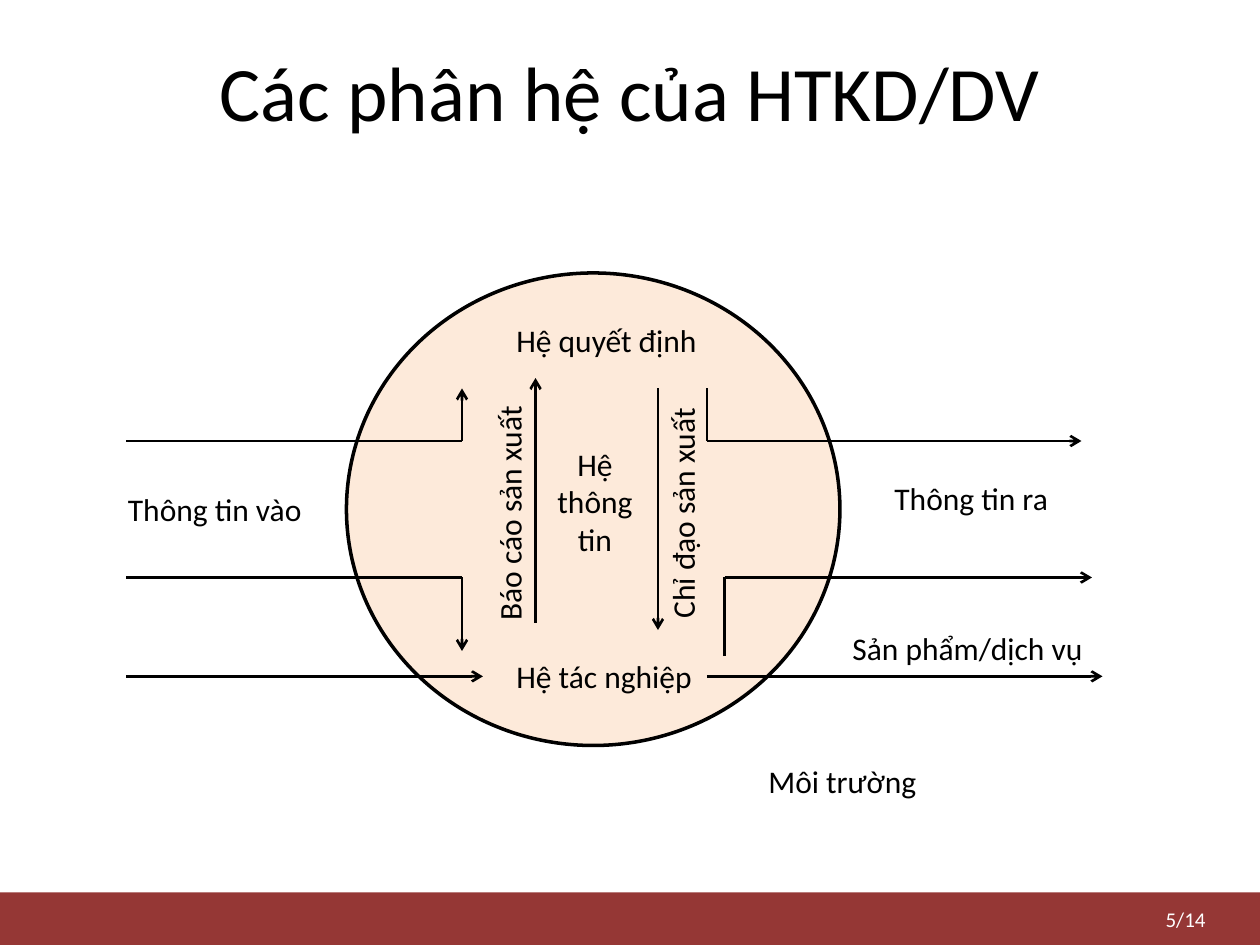
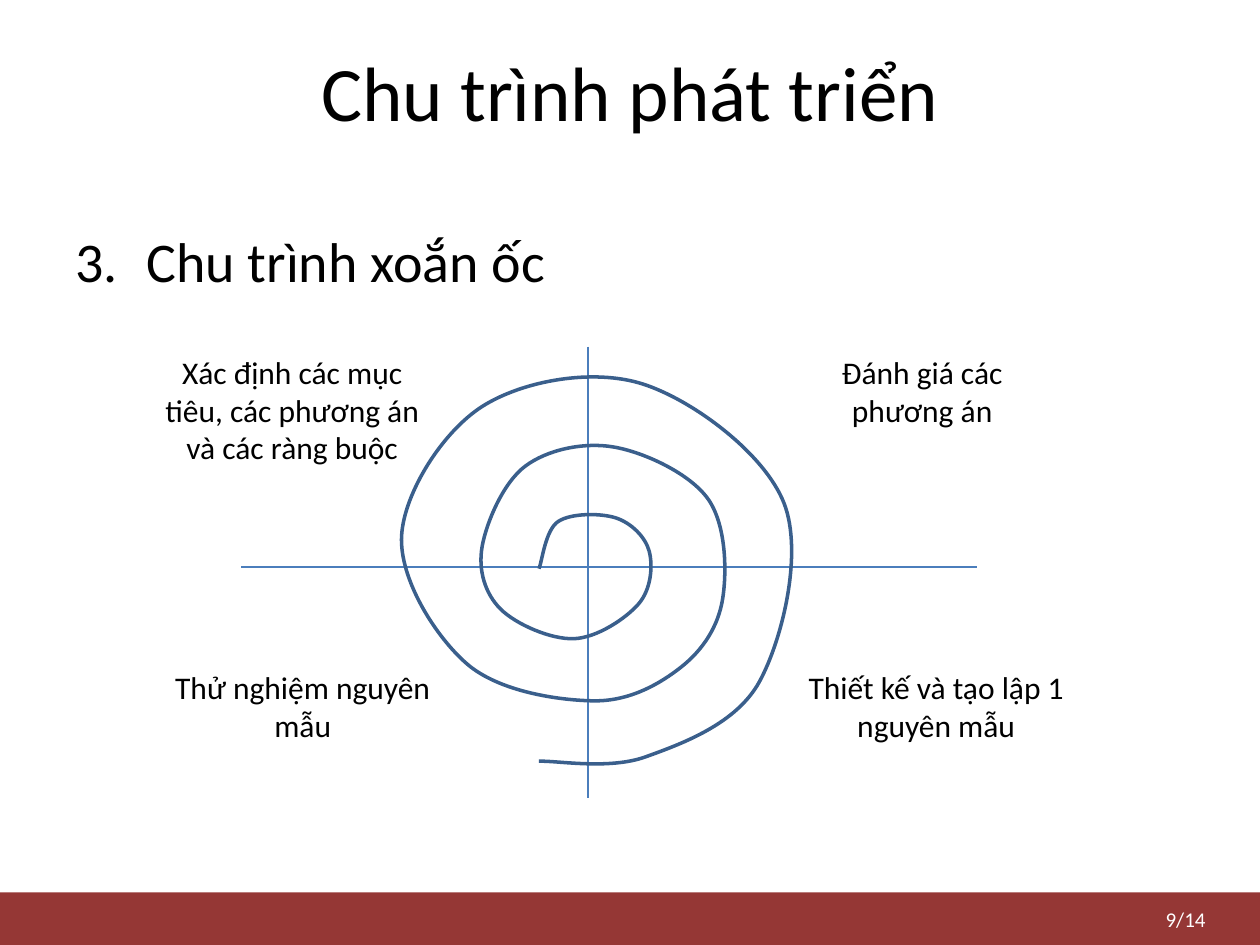
from lxml.etree import SubElement
from pptx import Presentation
from pptx.dml.color import RGBColor
from pptx.enum.shapes import MSO_CONNECTOR as Link, MSO_SHAPE as Preset
from pptx.enum.text import MSO_ANCHOR as Anchor, MSO_AUTO_SIZE as Fit, PP_ALIGN as Align
from pptx.oxml.ns import qn
from pptx.util import Pt

COLORS = {
    "band": "953735", "ink": "000000", "paper": "FFFFFF",
    "disc": "FDEADA", "axis": "4B7EBC", "spiral": "3A5F8C",
}
FONT = "Calibri"
PAGE_COUNT = 14
TITLE_BOX = (36, 18, 648, 68)
BAND_BOX = (0, 510, 720, 30)
NUMBER_BOX = (498, 513, 198, 24)


def color(name):
    """Return a palette entry as an RGB colour."""
    return RGBColor.from_string(COLORS[name])


def points(*values):
    """Turn numbers into lengths in points."""
    return [Pt(value) for value in values]


def place(shape, box):
    """Move and size a shape to a box of left, top, width, height."""
    for name, value in zip(("left", "top", "width", "height"), points(*box)):
        setattr(shape, name, value)


def write(shape, text, size=18, ink="ink", align=Align.LEFT, **frame_format):
    """Write one formatted paragraph and set the format of its frame."""
    frame = shape.text_frame
    for name, value in frame_format.items():
        setattr(frame, name, value)
    para = frame.paragraphs[0]
    para.alignment = align
    span = para.add_run()
    span.text = text
    for name, value in {"name": FONT, "size": Pt(size), "bold": False}.items():
        setattr(span.font, name, value)
    span.font.color.rgb = color(ink)
    return para


def outline(shape, name, width):
    """Give a shape a solid line."""
    shape.line.color.rgb = color(name)
    shape.line.width = Pt(width)


def add_label(page, text, box, wrap=False, align=Align.LEFT, rotation=0):
    """Add a text box that fits its text."""
    label = page.shapes.add_textbox(*points(*box))
    label.rotation = rotation
    write(label, text, align=align, word_wrap=wrap, auto_size=Fit.SHAPE_TO_FIT_TEXT)


def add_line(page, ends, name="ink", width=1.5, arrow=False):
    """Add a straight line, with an open arrowhead at its end if asked."""
    line = page.shapes.add_connector(Link.STRAIGHT, *points(*ends))
    outline(line, name, width)
    properties = line.element.spPr
    if arrow:
        SubElement(properties.find(qn("a:ln")), qn("a:tailEnd"), type="arrow")
    SubElement(properties, qn("a:effectLst"))


def add_master_band(deck, page):
    """Put the footer band on the slide master, behind everything."""
    band = page.shapes.add_shape(Preset.RECTANGLE, *points(*BAND_BOX))
    band.shadow.inherit = False
    band.fill.solid()
    band.fill.fore_color.rgb = color("band")
    band.line.fill.background()
    deck.slide_master.element.cSld.spTree.insert(2, band.element)


def add_page(deck, layout, title, number):
    """Add a slide with its title and page number."""
    page = deck.slides.add_slide(deck.slide_layouts.get_by_name(layout))
    place(page.shapes.title, TITLE_BOX)
    write(page.shapes.title, title, 44, align=Align.CENTER, vertical_anchor=Anchor.MIDDLE)
    footer = page.shapes.add_textbox(*points(*NUMBER_BOX))
    write(footer, f"{number}/{PAGE_COUNT}", 12, "paper", Align.RIGHT,
          word_wrap=True, vertical_anchor=Anchor.MIDDLE)
    return page


def add_numbered_item(page, text, number, box):
    """Fill the body placeholder with one numbered item."""
    body = page.placeholders[1]
    place(body, box)
    para = write(body, text, 32, word_wrap=True)
    properties = para._p.get_or_add_pPr()
    indent = Pt(40.5)
    properties.set("marL", str(indent))
    properties.set("indent", str(-indent))
    SubElement(properties, qn("a:buFont"), typeface="+mj-lt")
    SubElement(properties, qn("a:buAutoNum"), type="arabicPeriod", startAt=str(number))


def add_system_diagram(page, left, top):
    """Draw the business system, its subsystems and its flows."""
    disc = page.shapes.add_shape(Preset.OVAL, *points(left + 126, top, 282, 270))
    disc.shadow.inherit = False
    disc.fill.solid()
    disc.fill.fore_color.rgb = color("disc")
    outline(disc, "ink", 2)

    decision_y, control_y, product_y = 96, 174, 230.5
    inner_x, exit_x, order_x = 192, 332, 342
    plain_lines = [
        (0, decision_y, inner_x, decision_y, 1.5),
        (0, control_y, inner_x, control_y, 1.5),
        (order_x, 219, order_x, control_y, 1.5),
        (exit_x, 66, exit_x, decision_y, 0.75),
    ]
    arrows = [
        (0, product_y, 204, product_y),
        (exit_x, product_y, 558, product_y),
        (inner_x, control_y, inner_x, 216),
        (inner_x, decision_y, inner_x, 66),
        (order_x, control_y, 552, control_y),
        (exit_x, decision_y, 546, decision_y),
        (234, 200, 234, 60),
        (304, 66, 304, 204),
    ]

    def shift(x1, y1, x2, y2):
        return left + x1, top + y1, left + x2, top + y2

    for *ends, width in plain_lines:
        add_line(page, shift(*ends), width=width)
    for ends in arrows:
        add_line(page, shift(*ends), arrow=True)

    labels = [
        ("Hệ quyết định", 216, 24, 119, 0),
        ("Hệ tác nghiệp", 216, 216, 116, 0),
        ("Thông tin vào", -6, 120.5, 115, 0),
        ("Thông tin ra", 432, 114, 104, 0),
        ("Sản phẩm/dịch vụ", 408, 200, 150, 0),
        ("Báo cáo sản xuất", 150, 122, 138, 270),
        ("Chỉ đạo sản xuất", 250, 122, 136, 270),
        ("Môi trường", 360, 276, 100, 0),
    ]
    for text, x, y, width, rotation in labels:
        add_label(page, text, (left + x, top + y, width, 29), rotation=rotation)
    add_label(page, "Hệ thông tin", (left + 238, top + 94.5, 60, 73), True, Align.CENTER)


def add_smooth_curve(page, knots, box, name, width):
    """Draw a smooth open curve through knots relative to the box corner."""
    left, top, box_width, box_height = box
    builder = page.shapes.build_freeform(*points(left, top))
    builder.add_line_segments([points(left + box_width, top + box_height)], close=False)
    curve = builder.convert_to_shape()
    curve.shadow.inherit = False
    curve.fill.background()
    outline(curve, name, width)

    track = curve.element.find(".//" + qn("a:path"))
    for step in list(track):
        track.remove(step)

    def add_step(tag, stops):
        step = SubElement(track, qn(tag))
        for x, y in stops:
            SubElement(step, qn("a:pt"), x=str(Pt(x)), y=str(Pt(y)))

    add_step("a:moveTo", knots[:1])
    padded = [knots[0], *knots, knots[-1]]
    for before, start, end, after in zip(padded, padded[1:], padded[2:], padded[3:]):
        leave = [s + (e - b) / 6 for b, s, e in zip(before, start, end)]
        arrive = [e - (a - s) / 6 for s, e, a in zip(start, end, after)]
        add_step("a:cubicBezTo", [leave, arrive, end])


def add_spiral_diagram(page, left, top):
    """Draw the spiral cycle over its axes, with a label in each quarter."""
    center_x, center_y = left + 252, top + 126
    add_line(page, (center_x, top, center_x, top + 258), "axis", 0.75)
    add_line(page, (left + 54, center_y, left + 474, center_y), "axis", 0.75)

    knots = [
        (-28, 1), (-17, -26), (16, -28), (35, -9), (29, 21), (-8, 41),
        (-50, 24), (-60.5, -11.5), (-36, -57.5), (15, -68.5), (68.5, -39),
        (77, 18), (53.5, 57), (3.5, 76.5), (-69, 55.5), (-106.5, -18),
        (-60, -92), (31.5, -104.5), (112, -36.5), (98, 65.5), (33, 108.5),
        (-28, 111),
    ]
    reach_x, reach_y = 106.5, 108.5
    add_smooth_curve(
        page, [(x + reach_x, y + reach_y) for x, y in knots],
        (center_x - reach_x, center_y - reach_y, 223, 222.5), "spiral", 2)

    labels = [
        ("Xác định các mục tiêu, các phương án và các ràng buộc", 0, 0, 73),
        ("Đánh giá các phương án", 360, 0, 51),
        ("Thiết kế và tạo lập 1 nguyên mẫu", 368, 180, 51),
        ("Thử nghiệm nguyên mẫu", 6, 180, 51),
    ]
    for text, x, y, height in labels:
        add_label(page, text, (left + x, top + y, 166, height), True, Align.CENTER)


deck = Presentation()
deck.slide_width, deck.slide_height = points(720, 540)

system_page = add_page(deck, "Title Only", "Các phân hệ của HTKD/DV", 5)
add_master_band(deck, system_page)
outline(system_page.shapes.title, "paper", 0.75)
add_system_diagram(system_page, 72, 156)

cycle_page = add_page(deck, "Title and Content", "Chu trình phát triển", 9)
add_numbered_item(cycle_page, "Chu trình xoắn ốc", 3, (36, 126, 648, 54))
add_spiral_diagram(cycle_page, 84, 198)

deck.save("out.pptx")
